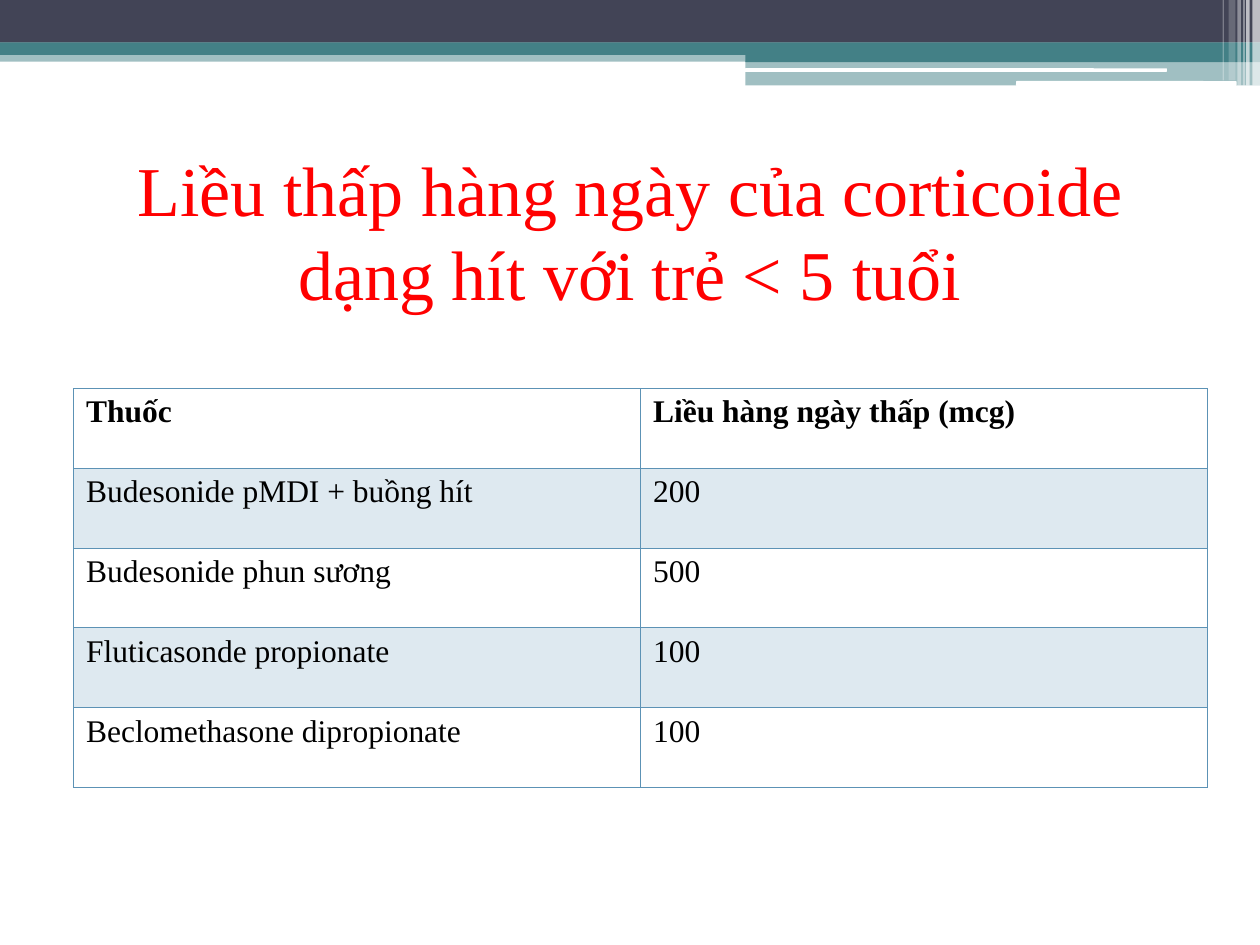
from dataclasses import dataclass

from lxml.etree import SubElement
from pptx import Presentation
from pptx.dml.color import RGBColor
from pptx.enum.shapes import MSO_SHAPE as Shape
from pptx.enum.text import MSO_ANCHOR as Anchor, MSO_AUTO_SIZE as AutoSize, PP_ALIGN as Align
from pptx.oxml.ns import qn
from pptx.util import Pt


@dataclass(frozen=True)
class Theme:
    """Colours, font and type sizes of the deck."""
    navy: str = "424456"
    teal: str = "438086"
    white: str = "FFFFFF"
    red: str = "FF0000"
    black: str = "000000"
    blue: str = "5C92B5"
    font: str = "Times New Roman"
    title_size: int = 40
    table_size: int = 18
    grid_width: float = 0.45
    header_rule_width: float = 0.96


THEME = Theme()
DOSES = [
    ("Thuốc", "Liều hàng ngày thấp (mcg)"),
    ("Budesonide pMDI + buồng hít", "200"),
    ("Budesonide phun sương", "500"),
    ("Fluticasonde propionate", "100"),
    ("Beclomethasone dipropionate", "100"),
]


def apply_format(target, values):
    """Set every named attribute on the target."""
    for name, value in values.items():
        setattr(target, name, value)


def format_font(font, size, color, bold=False):
    """Give a font the deck typeface, a size, a colour and a weight."""
    apply_format(font, {"name": THEME.font, "size": Pt(size), "bold": bold})
    font.color.rgb = RGBColor.from_string(color)


def fill_solid(fill, color, opacity=100):
    """Fill with one colour at an opacity in percent."""
    fill.solid()
    fill.fore_color.rgb = RGBColor.from_string(color)
    if opacity < 100:
        solid = fill._xPr.find(qn("a:solidFill"))
        SubElement(solid[0], qn("a:alpha"), val=str(opacity * 1000))


def add_bar(slide, box, color, opacity=100, outline=Shape.RECTANGLE):
    """Add a borderless bar in the given box."""
    bar = slide.shapes.add_shape(outline, *map(Pt, box))
    bar.shadow.inherit = False
    bar.line.fill.background()
    fill_solid(bar.fill, color, opacity)


def add_banner(slide, left, top, width):
    """Draw the layered bands and the light stripes at the top right."""
    right = left + width
    step = left + 426
    bands = [
        (left, 28.8, width, 6.5, THEME.teal, 50),
        (left, 0, width, 24.4, THEME.navy, 100),
        (left, 24.2, width, 7.2, THEME.teal, 100),
        (step, 28.3, right - step, 7.2, THEME.teal, 100),
        (step, 34.8, right - step, 14, THEME.teal, 50),
    ]
    for x, y, span, height, color, opacity in bands:
        add_bar(slide, (x, top + y, span, height), color, opacity)
    for x, y, span, height in [(425.6, 39, 241.2, 2), (580.6, 46.3, 126, 2.8)]:
        add_bar(slide, (left + x, top + y, span, height), THEME.white,
                outline=Shape.ROUNDED_RECTANGLE)
    stripes = [
        (4.4, 4.4, 49, 65), (7.9, 2, 49, 65), (9.5, 0.7, 49, 60),
        (12.9, 2, 49, 40), (18, 4, 46, 20), (21.3, 0.7, 46, 30),
    ]
    for inset, span, height, opacity in stripes:
        add_bar(slide, (right - inset, top, span, height), THEME.white, opacity)


def add_title(slide, left, top, width, height):
    """Place and format the slide title."""
    title = slide.shapes.title
    apply_format(title, {"left": Pt(left), "top": Pt(top),
                         "width": Pt(width), "height": Pt(height)})
    frame = title.text_frame
    frame.text = "Liều thấp hàng ngày của corticoide dạng hít với trẻ < 5 tuổi"
    apply_format(frame, {"word_wrap": True, "auto_size": AutoSize.NONE,
                         "vertical_anchor": Anchor.MIDDLE})
    heading = frame.paragraphs[0]
    heading.alignment = Align.CENTER
    format_font(heading.runs[0].font, THEME.title_size, THEME.red)


def add_borders(cell, row):
    """Rule all sides of a cell, heavier between header and body."""
    heavy_side = {0: "lnB", 1: "lnT"}.get(row)
    properties = cell._tc.get_or_add_tcPr()
    for side in ("lnL", "lnR", "lnT", "lnB"):
        weight = THEME.header_rule_width if side == heavy_side else THEME.grid_width
        rule = SubElement(properties, qn(f"a:{side}"), w=str(Pt(weight)))
        solid = SubElement(rule, qn("a:solidFill"))
        SubElement(solid, qn("a:srgbClr"), val=THEME.blue)


def add_dose_table(slide, left, top, width, height):
    """Add the dose table with a bold header and tinted alternate rows."""
    frame = slide.shapes.add_table(len(DOSES), len(DOSES[0]),
                                   *map(Pt, (left, top, width, height)))
    for row, entries in enumerate(DOSES):
        for column, entry in enumerate(entries):
            cell = frame.table.cell(row, column)
            cell.text = entry
            format_font(cell.text_frame.paragraphs[0].runs[0].font,
                        THEME.table_size, THEME.black, bold=row == 0)
            add_borders(cell, row)
            if row % 2:
                fill_solid(cell.fill, THEME.blue, 20)
            else:
                cell.fill.background()


def main():
    """Build and save the slide."""
    deck = Presentation()
    apply_format(deck, {"slide_width": Pt(720), "slide_height": Pt(540)})
    slide = deck.slides.add_slide(deck.slide_layouts[5])
    add_banner(slide, 0, 0, 720)
    add_title(slide, 36, 90, 648, 84)
    add_dose_table(slide, 42, 222, 648, 228)
    deck.save("out.pptx")


if __name__ == "__main__":
    main()
